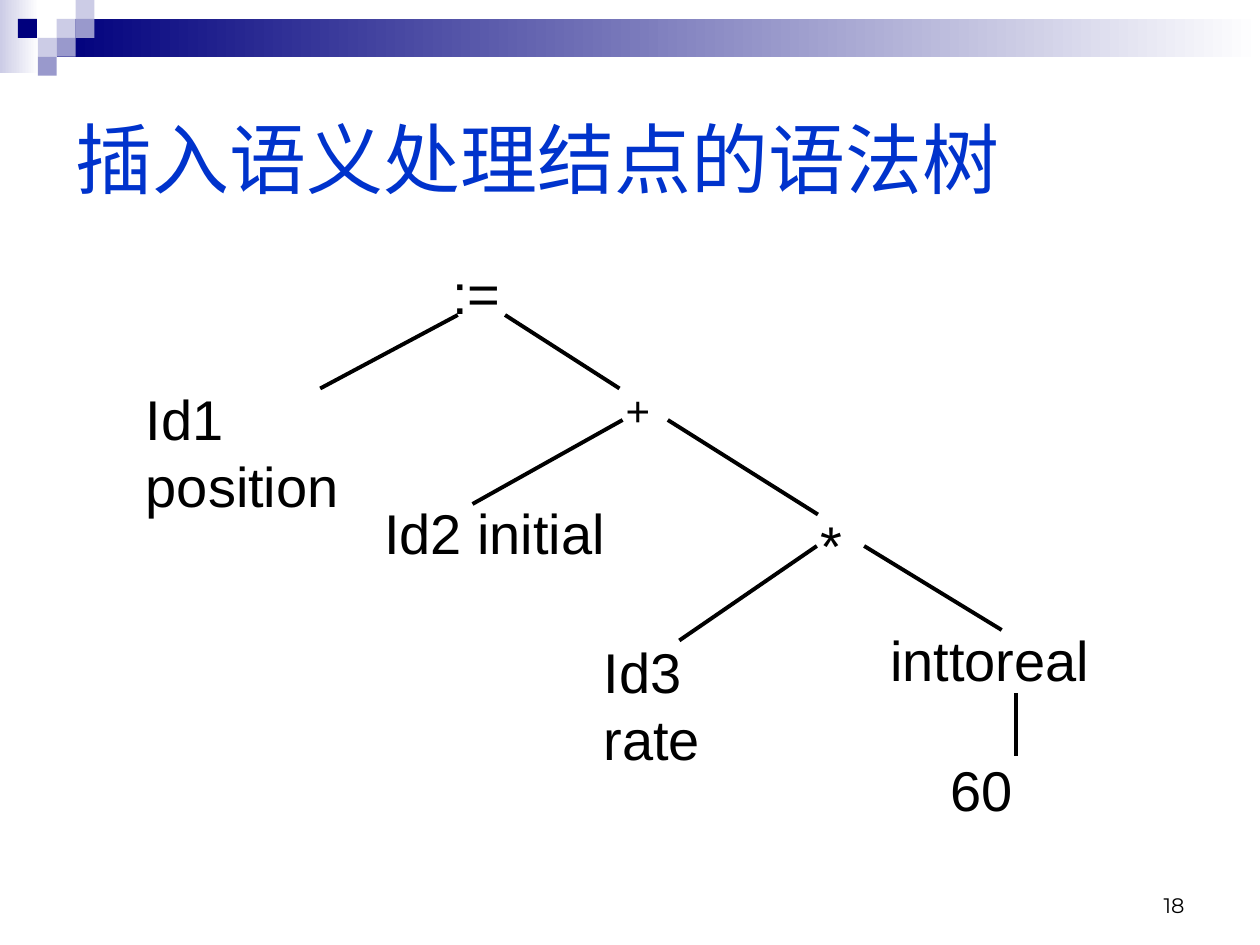
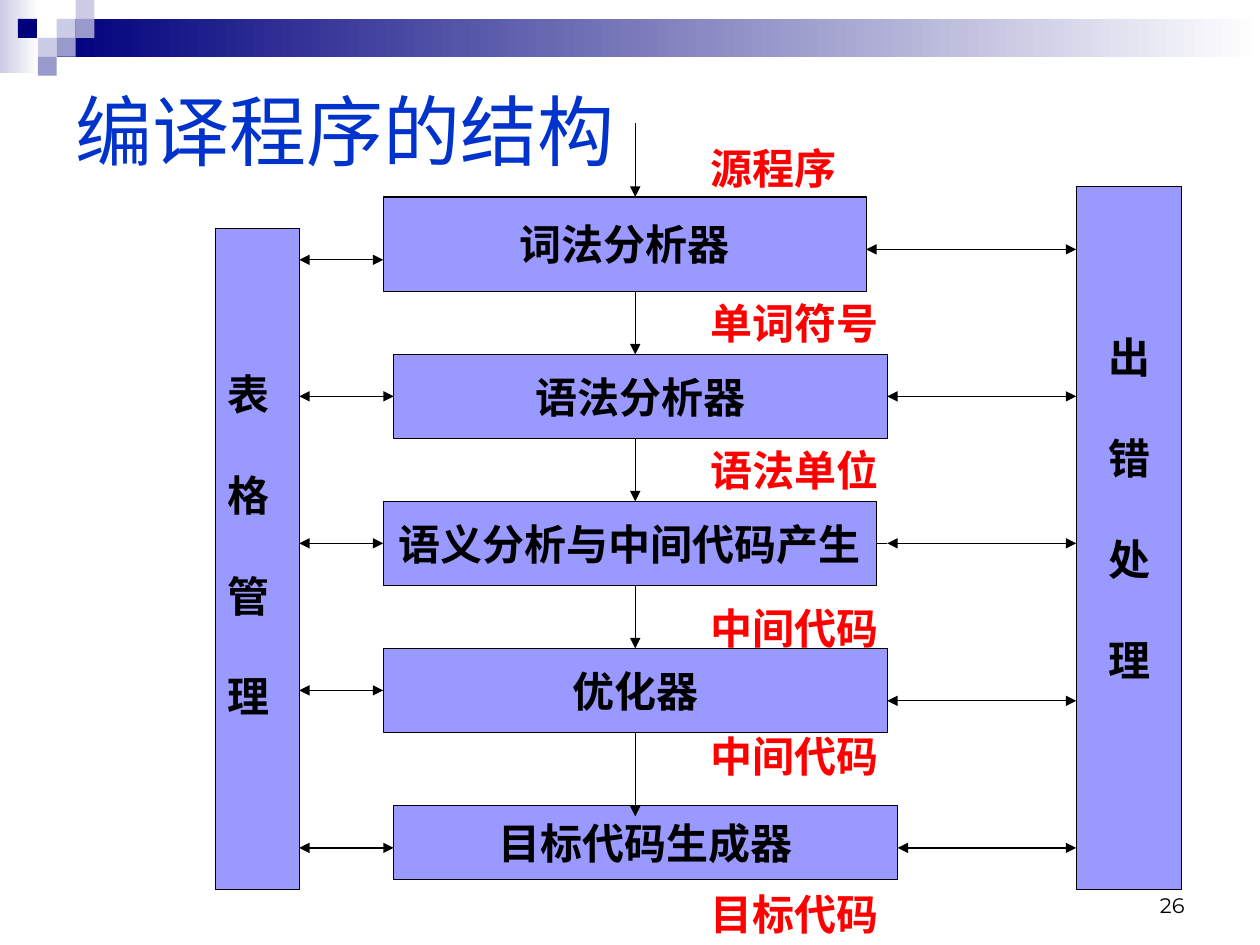
from lxml.etree import SubElement
from pptx import Presentation
from pptx.dml.color import RGBColor
from pptx.enum.lang import MSO_LANGUAGE_ID
from pptx.enum.shapes import MSO_CONNECTOR, MSO_SHAPE
from pptx.enum.text import MSO_ANCHOR, PP_ALIGN
from pptx.oxml.ns import qn
from pptx.util import Emu, Inches, Pt

COLORS = {
    "navy": "00007D", "lavender": "CCCCE6", "mauve": "9999CC", "white": "FFFFFF",
    "title": "0033CC", "box": "9999FF", "ink": "000000", "label": "FF0000",
}
UNITS_PER_INCH = 12
TILE = 1.8
TILES = [
    (3, 1, "lavender"), (4, 0, "lavender"), (4, 1, "mauve"), (2, 2, "lavender"),
    (0.95, 1, "navy"), (3, 2, "mauve"), (2, 3, "mauve"),
]
TREE_NODES = [
    (":=", 41.9, 24, 8.8, 32), ("+", 58.4, 36, 8.8, 24), ("*", 77, 48, 8.8, 32),
    ("Id1 position", 12.7, 36, 27.2, 32), ("Id2 initial", 35.4, 46.9, 25.6, 32),
    ("Id3 rate", 56.3, 60.1, 19.8, 32), ("inttoreal", 83.6, 59, 27.4, 32),
    ("60", 89.3, 71.4, 16.4, 32),
]
TREE_BRANCHES = [
    ((30.5, 37), (43.6, 30)), ((48.1, 30), (59, 37)),
    ((59.3, 40), (45, 48)), ((63.6, 40), (77.9, 49)),
    ((77.8, 52), (64.7, 61)), ((82.3, 52), (95.4, 60)),
    ((96.8, 66), (96.8, 72)),
]
STAGES = [
    ("词法分析器", 36, 19, 82, 28), ("语法分析器", 37, 34, 84, 42),
    ("语义分析与中间代码产生", 36, 48, 83, 56), ("优化器", 36, 62, 84, 70),
    ("目标代码生成器", 37, 77, 85, 84),
]
FLOW_LABELS = [
    ("源程序", 13.25), ("单词符号", 28), ("语法单位", 42),
    ("中间代码", 57), ("中间代码", 69.25), ("目标代码", 84.25),
]
FLOW_SPANS = [(12, 19), (28, 34), (42, 48), (56, 62), (70, 78)]
TABLE_LINK_ROWS = [25, 38, 52, 66, 81]
ERROR_LINKS = [(82, 24), (84, 38), (84, 52), (84, 67), (85, 81)]
TABLE_RIGHT, ERROR_LEFT, FLOW_COL, LABEL_COL = 28, 102, 60, 66


def u(n):
    return Emu(round(Inches(1) * n / UNITS_PER_INCH))


def grid(col, row):
    return col + 0.5, row - 0.25


def rgb(name):
    return RGBColor.from_string(COLORS[name])


def add_rect(s, x, y, w, h, fill, fade=False, outline=False):
    sp = s.shapes.add_shape(MSO_SHAPE.RECTANGLE, u(x), u(y), u(w), u(h))
    sp.shadow.inherit = False
    if fade:
        sp.fill.gradient()
        sp.fill.gradient_angle = 0
        for stop, name in zip(sp.fill.gradient_stops, (fill, "white")):
            stop.color.rgb = rgb(name)
    else:
        sp.fill.solid()
        sp.fill.fore_color.rgb = rgb(fill)
    if outline:
        sp.line.color.rgb = rgb("ink")
        sp.line.width = Pt(0.75)
    else:
        sp.line.fill.background()
    return sp


def write(sp, lines, size, font, color="ink", bold=False, wrap=True,
          anchor=MSO_ANCHOR.TOP, align=PP_ALIGN.LEFT, gap=0):
    tf = sp.text_frame
    tf.word_wrap = wrap
    tf.vertical_anchor = anchor
    tf.text = "\n".join(lines)
    for i, p in enumerate(tf.paragraphs):
        p.alignment = align
        if i and gap:
            p.space_before = Pt(gap)
        for r in p.runs:
            r.font.size = Pt(size)
            r.font.name = font
            r.font.bold = bold
            r.font.color.rgb = rgb(color)
            if not r.text.isascii():
                r.font.language_id = MSO_LANGUAGE_ID.SIMPLIFIED_CHINESE


def add_text(s, x, y, w, h, lines, size, font, **style):
    sp = s.shapes.add_textbox(u(x), u(y), u(w), u(h))
    write(sp, lines, size, font, **style)


def join(attach, x, y, boxes):
    for sp in boxes:
        mid_x, mid_y = sp.left + sp.width / 2, sp.top + sp.height / 2
        sides = [(mid_x, sp.top), (sp.left, mid_y),
                 (mid_x, sp.top + sp.height), (sp.left + sp.width, mid_y)]
        for i, (side_x, side_y) in enumerate(sides):
            if max(abs(side_x - x), abs(side_y - y)) < Pt(0.1):
                attach(sp, i)


def add_line(s, start, end, width=0.75, arrows=(), boxes=()):
    x1, y1, x2, y2 = map(u, (*start, *end))
    line = s.shapes.add_connector(MSO_CONNECTOR.STRAIGHT, x1, y1, x2, y2)
    line.line.color.rgb = rgb("ink")
    line.line.width = Pt(width)
    ln = line.line._get_or_add_ln()
    for arrow in arrows:
        SubElement(ln, qn(f"a:{arrow}"), type="triangle")
    SubElement(line._element.spPr, qn("a:effectLst"))
    join(line.begin_connect, x1, y1, boxes)
    join(line.end_connect, x2, y2, boxes)


def add_base(prs, title, title_y, title_font, number):
    s = prs.slides.add_slide(prs.slide_layouts[6])
    add_rect(s, 0, 0, 3.7, 7, "lavender", fade=True)
    add_rect(s, 3 * TILE, TILE, 120 - 3 * TILE, 2 * TILE, "navy", fade=True)
    for col, row, color in TILES:
        add_rect(s, col * TILE, row * TILE, TILE, TILE, color)
    add_text(s, 6, title_y, 108, 18, [title], 44, title_font,
             color="title", anchor=MSO_ANCHOR.MIDDLE)
    add_text(s, 86, 82, 28, 6, [number], 12, "Montserrat",
             anchor=MSO_ANCHOR.BOTTOM, align=PP_ALIGN.RIGHT)
    return s


def add_box(s, left, top, right, bottom):
    return add_rect(s, *grid(left, top), right - left, bottom - top, "box", outline=True)


def add_pillar(s, left, top, right, text, text_x, text_y):
    add_box(s, left, top, right, 85)
    add_text(s, text_x, text_y, 6.4, 34.8, text, 24, "Times New Roman",
             bold=True, wrap=False, gap=28.8)


def build_tree(prs):
    s = add_base(prs, "插入语义处理结点的语法树", 6, "Noto Sans CJK JP", "18")
    for text, x, y, w, size in TREE_NODES:
        add_text(s, x, y, w, 7.7, [text], size, "Arial")
    for start, end in TREE_BRANCHES:
        add_line(s, start, end, width=2.25)


def build_structure(prs):
    s = add_base(prs, "编译程序的结构", 3.4, "Arial", "26")
    add_pillar(s, 20, 22, TABLE_RIGHT, "表格管理", 20.5, 34.5)
    add_pillar(s, ERROR_LEFT, 18, 112, "出错处理", 104.4, 31)
    boxes = []
    for text, *edges in STAGES:
        sp = add_box(s, *edges)
        write(sp, [text], 24, "Times New Roman", bold=True, wrap=False,
              anchor=MSO_ANCHOR.MIDDLE, align=PP_ALIGN.CENTER)
        boxes.append(sp)
    for text, row in FLOW_LABELS:
        add_text(s, *grid(LABEL_COL, row), 4 * len(text) + 2.4, 6, [text], 24,
                 "Times New Roman", color="label", bold=True, wrap=False)
    for top, bottom in FLOW_SPANS:
        add_line(s, grid(FLOW_COL, top), grid(FLOW_COL, bottom),
                 arrows=["tailEnd"], boxes=boxes)
    both = ["headEnd", "tailEnd"]
    for (_, left, *_), row in zip(STAGES, TABLE_LINK_ROWS):
        add_line(s, grid(TABLE_RIGHT, row), grid(left, row), arrows=both, boxes=boxes)
    for (_, _, _, right, _), (tip, row) in zip(STAGES, ERROR_LINKS):
        add_line(s, grid(tip, row), grid(ERROR_LEFT, row), arrows=both, boxes=boxes)
        if right < tip:
            add_line(s, grid(right, row), grid(tip, row), boxes=boxes)


def main():
    prs = Presentation()
    prs.slide_width, prs.slide_height = Inches(10), Inches(7.5)
    build_tree(prs)
    build_structure(prs)
    prs.save("out.pptx")


if __name__ == "__main__":
    main()
